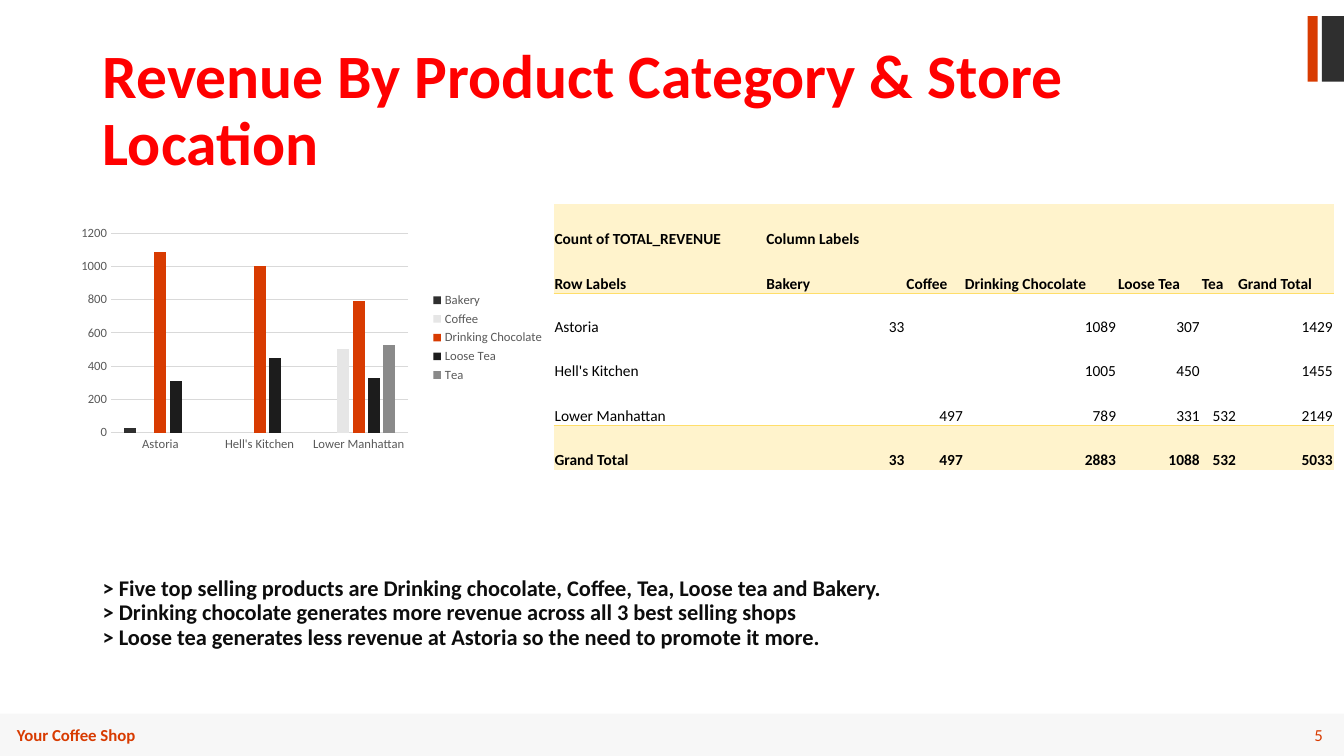
from lxml import etree
from pptx import Presentation
from pptx.chart.data import CategoryChartData
from pptx.dml.color import RGBColor
from pptx.enum import chart as ch, shapes, text
from pptx.oxml import parse_xml
from pptx.oxml.ns import nsdecls, qn
from pptx.util import Inches, Pt

FONT = "Calibri"
TITLE = "Revenue By Product Category & Store Location"
NOTES = [
    "> Five top selling products are Drinking chocolate, Coffee, Tea, Loose tea and Bakery.",
    "> Drinking chocolate generates more revenue across all 3 best selling shops",
    "> Loose tea generates less revenue at Astoria so the need to promote it more.",
]
GOODS = {"Bakery": "2F2F2F", "Coffee": "E6E6E6", "Drinking Chocolate": "D83B01",
         "Loose Tea": "1C1C1C", "Tea": "8A8A8A"}
SALES = {
    "Astoria": [33, None, 1089, 307, None],
    "Hell's Kitchen": [None, None, 1005, 450, None],
    "Lower Manhattan": [None, 497, 789, 331, 532],
}
COLS = [2.1, 1.39, 0.58, 1.52, 0.83, 0.36, 0.96]
ROWS = [0.45, 0.44, 0.43, 0.44, 0.44, 0.44]
PLOT = {"x": 0.12, "y": 0.155, "w": 0.59, "h": 0.659}
BARS = [(13.11, 0.22, "2F2F2F"), (12.97, 0.1, "D83B01")]
NO_STYLE = "{2D5ABB26-0587-4C30-8999-92F81FD0307C}"


def rgb(code):
    return RGBColor.from_string(code)


def style(font, size, color, bold=False):
    font.name, font.size, font.bold = FONT, Pt(size), bold
    font.color.rgb = rgb(color)


def box(slide, left, top, width, height, color):
    shape = slide.shapes.add_shape(shapes.MSO_SHAPE.RECTANGLE, Inches(left),
                                   Inches(top), Inches(width), Inches(height))
    shape.shadow.inherit = False
    shape.fill.solid()
    shape.fill.fore_color.rgb = rgb(color)
    shape.line.fill.background()
    return shape


def label(slide, place, lines, size, color, bold=False):
    area = slide.shapes.add_textbox(*map(Inches, place))
    frame = area.text_frame
    frame.word_wrap = True
    frame.text = "\n".join(lines)
    for para in frame.paragraphs:
        style(para.font, size, color, bold)
    return frame


def add_graph(slide):
    data = CategoryChartData()
    data.categories = list(SALES)
    for name, values in zip(GOODS, zip(*SALES.values())):
        data.add_series(name, [v and round(v, -1) for v in values])
    chart = slide.shapes.add_chart(ch.XL_CHART_TYPE.COLUMN_CLUSTERED, Inches(0.5),
                                   Inches(1.85), Inches(5), Inches(3), data).chart
    style(chart.font, 10, "000000")
    chart.has_title = False
    chart.has_legend = True
    chart.legend.position = ch.XL_LEGEND_POSITION.RIGHT
    chart.legend.include_in_layout = False
    style(chart.legend.font, 9, "595959")
    plot = chart.plots[0]
    plot.gap_width, plot.overlap, plot.vary_by_categories = 219, -27, False
    for series, color in zip(plot.series, GOODS.values()):
        series.format.fill.solid()
        series.format.fill.fore_color.rgb = rgb(color)
        series.invert_if_negative = False

    cats, vals = chart.category_axis, chart.value_axis
    for axis in (cats, vals):
        axis.major_tick_mark = axis.minor_tick_mark = ch.XL_TICK_MARK.NONE
        style(axis.tick_labels.font, 9, "595959")
    vals.minimum_scale, vals.maximum_scale, vals.major_unit = 0, 1200, 200
    vals.format.line.fill.background()
    for line in (cats.format.line, vals.major_gridlines.format.line):
        line.color.rgb, line.width = rgb("D9D9D9"), Pt(0.75)

    sizes = "".join(f'<c:{key} val="{val}"/>' for key, val in PLOT.items())
    layout = parse_xml(
        f'<c:layout {nsdecls("c")}><c:manualLayout><c:layoutTarget val="inner"/>'
        f'<c:xMode val="edge"/><c:yMode val="edge"/>{sizes}'
        '</c:manualLayout></c:layout>')
    area = next(chart.element.iter(qn("c:plotArea")))
    for old in area.findall(qn("c:layout")):
        area.remove(old)
    area.insert(0, layout)


def underline(cell):
    """Rule the bottom side of a cell."""
    line = parse_xml(f'<a:lnB {nsdecls("a")} w="6350"><a:solidFill>'
                     '<a:srgbClr val="FFDE6A"/></a:solidFill></a:lnB>')
    cell._tc.get_or_add_tcPr().insert(0, line)


def add_grid(slide):
    sums = [sum(v or 0 for v in col) for col in zip(*SALES.values())]
    body = [[shop, *vals, sum(v or 0 for v in vals)] for shop, vals in SALES.items()]
    cells = [["Count of TOTAL_REVENUE", "Column Labels"] + [None] * 5,
             ["Row Labels", *GOODS, "Grand Total"],
             *body,
             ["Grand Total", *sums, sum(sums)]]
    frame = slide.shapes.add_table(len(ROWS), len(COLS), Inches(5.49), Inches(2.02),
                                   Inches(sum(COLS)), Inches(sum(ROWS)))
    next(frame.element.iter(qn("a:tableStyleId"))).text = NO_STYLE
    table = frame.table
    table.first_row = table.horz_banding = False
    for col, width in zip(table.columns, COLS):
        col.width = Inches(width)
    for row, height in zip(table.rows, ROWS):
        row.height = Inches(height)
    for r, row in enumerate(cells):
        strong = r in (0, 1, 5)
        for c, value in enumerate(row):
            cell = table.cell(r, c)
            cell.margin_left = cell.margin_right = cell.margin_top = Inches(0.01)
            cell.margin_bottom = 0
            cell.vertical_anchor = text.MSO_ANCHOR.BOTTOM
            if strong:
                cell.fill.solid()
                cell.fill.fore_color.rgb = rgb("FFF3CC")
            else:
                cell.fill.background()
            if r in (1, 4):
                underline(cell)
            if value is not None:
                cell.text = str(value)
            para = cell.text_frame.paragraphs[0]
            style(para.font, 11, "000000", strong)
            if isinstance(value, int):
                para.alignment = text.PP_ALIGN.RIGHT


def main():
    deck = Presentation()
    deck.slide_width, deck.slide_height = Inches(13.33), Inches(7.5)
    slide = deck.slides.add_slide(deck.slide_layouts[5])

    for left, width, color in BARS:
        box(slide, left, 0.16, width, 0.65, color)
    foot = box(slide, 0, 7.08, 13.33, 0.42, "E6E6E6")
    tint = next(foot.element.iter(qn("a:srgbClr")))
    etree.SubElement(tint, qn("a:alpha"), val="30000")
    page = label(slide, (12.35, 7.14, 0.87, 0.3), ["5"], 12, "D83B01")
    page.vertical_anchor = text.MSO_ANCHOR.MIDDLE
    page.paragraphs[0].alignment = text.PP_ALIGN.RIGHT
    label(slide, (0.07, 7.14, 1.84, 0.3), ["Your Coffee Shop"], 12, "D83B01", True)

    title = slide.shapes.title
    title.left, title.top = Inches(0.92), Inches(0.4)
    title.width, title.height = Inches(11.95), Inches(1.18)
    frame = title.text_frame
    frame.text = TITLE
    frame.word_wrap, frame.auto_size = True, text.MSO_AUTO_SIZE.NONE
    frame.vertical_anchor = text.MSO_ANCHOR.TOP
    head = frame.paragraphs[0]
    head.alignment, head.line_spacing = text.PP_ALIGN.LEFT, 0.9
    style(head.font, 44, "FF0000", True)

    notes = label(slide, (0.92, 5.68, 11.95, 0.85), NOTES, 16, "0D0D0D", True)
    for para in notes.paragraphs:
        para.line_spacing = 0.9

    add_graph(slide)
    add_grid(slide)
    deck.save("out.pptx")


if __name__ == "__main__":
    main()
